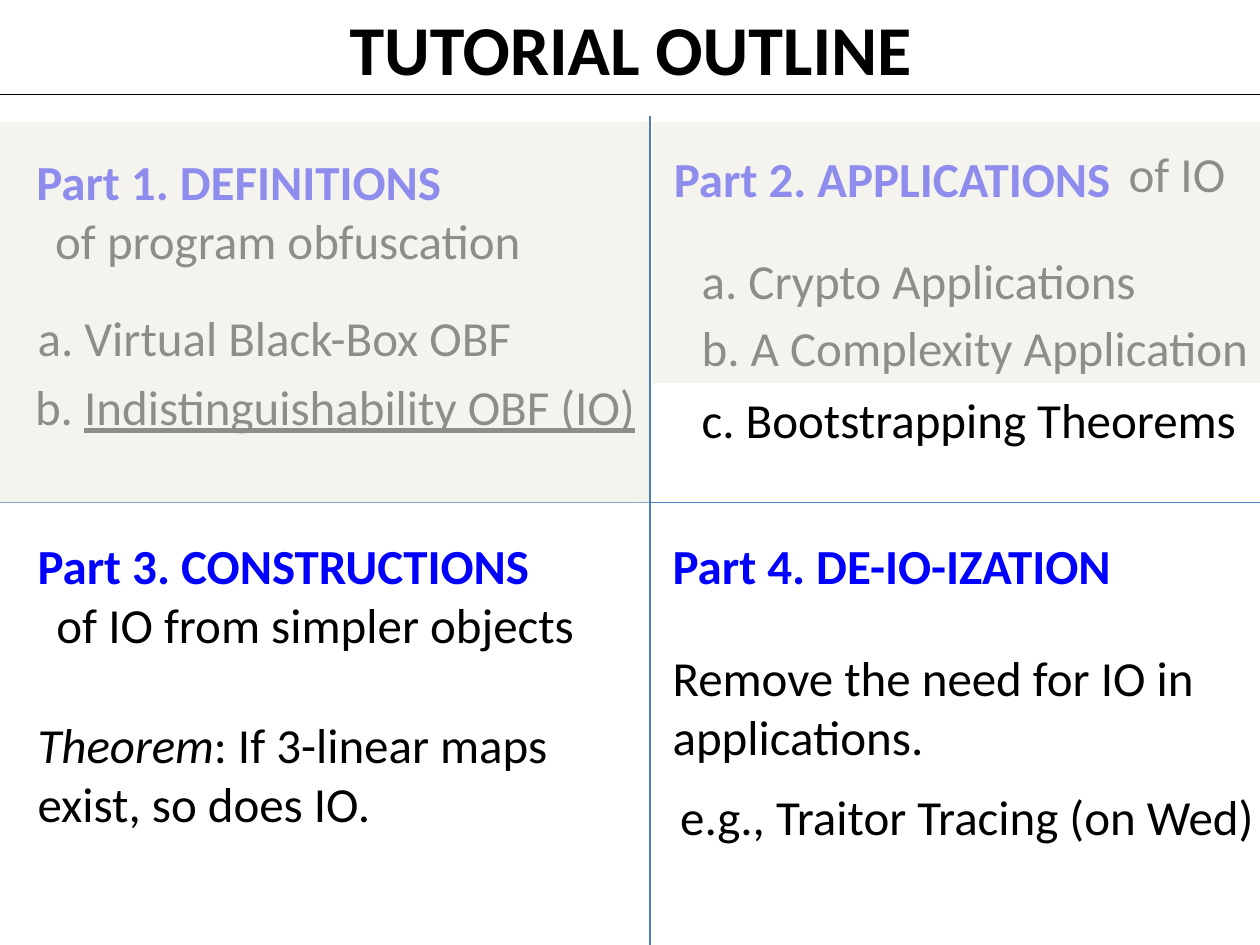
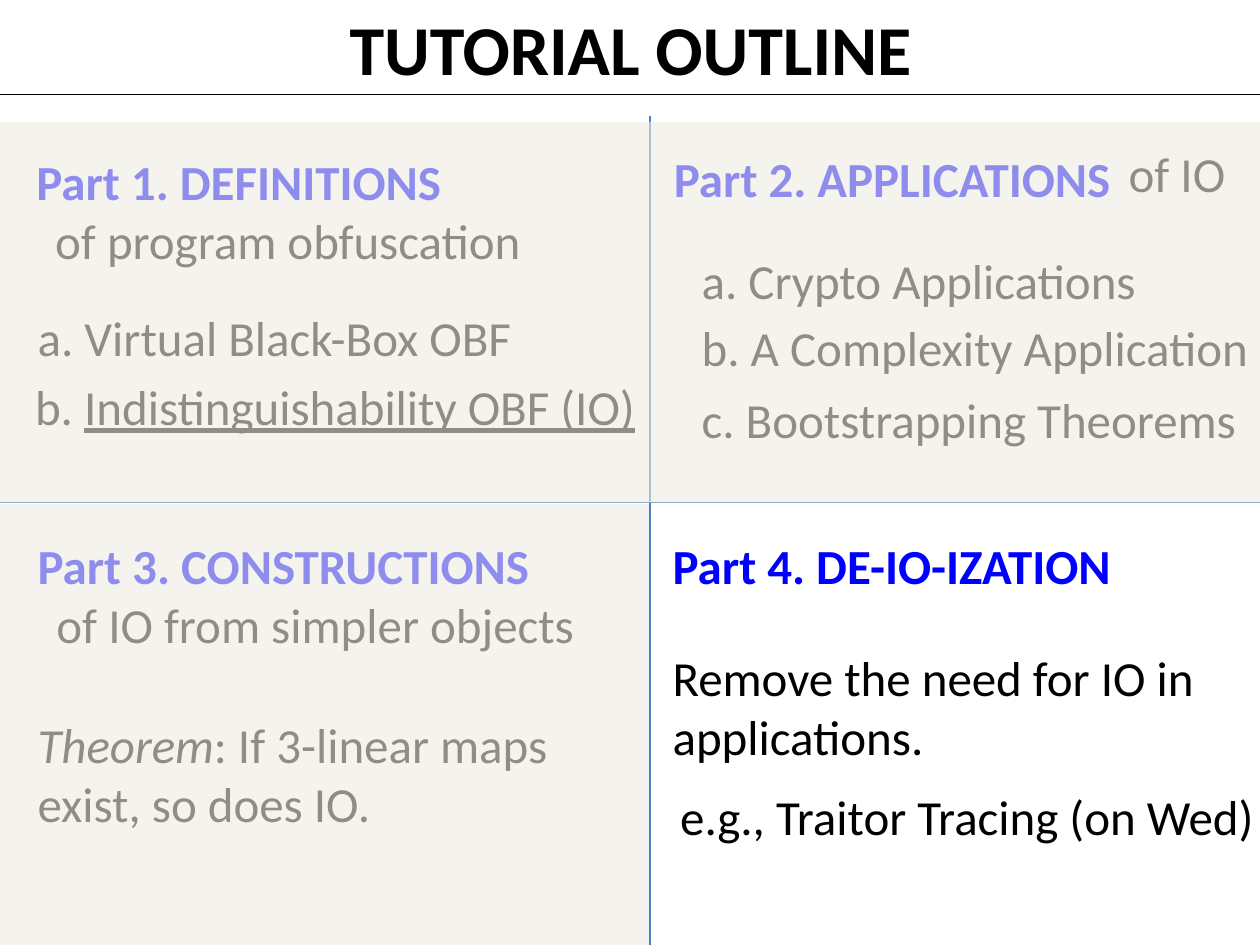
from dataclasses import dataclass

import pptx
import pptx.dml.color
import pptx.enum.shapes
import pptx.enum.text
import pptx.oxml
import pptx.oxml.ns
import pptx.util
from pptx.util import Inches

COLOURS = {
    "paper": "FFFFFF",
    "ink": "000000",
    "heading": "0000FF",
    "divider": "4B7EBC",
    "veil": "EEECE1",
}
FONT = "Calibri"
VEIL_OPACITY = 60
ONE_LINE, TWO_LINES = 0.57, 1.04


@dataclass(frozen=True)
class Phrase:
    text: str
    bold: bool = False
    italic: bool = False
    underline: bool = False
    colour: str = "ink"
    size: int = 28


@dataclass(frozen=True)
class Note:
    left: float
    top: float
    width: float
    phrases: tuple[Phrase, ...]
    height: float = ONE_LINE


@dataclass(frozen=True)
class Box:
    left: float
    top: float
    width: float
    height: float


def heading(left: float, top: float, width: float, text: str) -> Note:
    return Note(left, top, width, (Phrase(text, bold=True, colour="heading"),))


def line(left: float, top: float, width: float, text: str, height: float = ONE_LINE) -> Note:
    return Note(left, top, width, (Phrase(text),), height)


# Shared content: the four parts of the tutorial
TITLE = Phrase("TUTORIAL OUTLINE", bold=True, size=40)
TITLE_BAND = Box(-0.98, -0.03, 11.97, 0.78)
DIVIDERS = ((5.16, 0.92, 5.16, 7.92), (-0.43, 3.99, 11.61, 3.99))
OUTLINE = (
    heading(0.19, 1.15, 3.53, "Part 1. DEFINITIONS"),
    heading(5.25, 1.13, 4.39, "Part 2. APPLICATIONS"),
    heading(0.2, 4.2, 4.32, "Part 3. CONSTRUCTIONS"),
    line(0.35, 4.67, 4.43, "of IO from simpler objects"),
    Note(0.2, 5.62, 4.43, (
        Phrase("Theorem", italic=True),
        Phrase(": If 3-linear maps exist, so does IO."),
    ), TWO_LINES),
    line(0.2, 2.39, 5.45, "a. Virtual Black-Box OBF"),
    line(0.34, 1.62, 4.43, "of program obfuscation"),
    Note(0.18, 2.94, 5.07, (
        Phrase("b. "),
        Phrase("Indistinguishability OBF (IO)", underline=True),
    )),
    line(8.86, 1.09, 1.14, "of IO"),
    line(5.47, 1.94, 5.45, "a. Crypto Applications"),
    line(5.47, 2.47, 5.45, "b. A Complexity Application"),
    line(5.47, 3.04, 5.45, "c. Bootstrapping Theorems"),
    heading(5.24, 4.2, 4.32, "Part 4. DE-IO-IZATION"),
)
PART_4_DETAILS = (
    line(5.24, 5.09, 4.43, "Remove the need for IO in applications.", TWO_LINES),
    line(5.3, 6.19, 4.82, "e.g., Traitor Tracing (on Wed)"),
)

# Veils dim what has already been covered, one tuple per slide
VEILS_BY_SLIDE = (
    (Box(-0.17, 0.97, 5.32, 3.02), Box(5.18, 0.97, 5.32, 2.07)),
    (Box(-0.17, 0.97, 10.6, 3.02), Box(-0.68, 4, 5.83, 3.92)),
)


def rgb(name: str) -> pptx.dml.color.RGBColor:
    return pptx.dml.color.RGBColor.from_string(COLOURS[name])


def add_phrase(paragraph, phrase: Phrase) -> None:
    run = paragraph.add_run()
    run.text = phrase.text
    font = run.font
    font.name = FONT
    font.size = pptx.util.Pt(phrase.size)
    font.bold = phrase.bold
    font.italic = phrase.italic
    font.underline = phrase.underline
    font.color.rgb = rgb(phrase.colour)


def add_band(slide, box: Box, colour: str):
    band = slide.shapes.add_shape(
        pptx.enum.shapes.MSO_SHAPE.RECTANGLE,
        Inches(box.left), Inches(box.top), Inches(box.width), Inches(box.height))
    band.shadow.inherit = False
    band.fill.solid()
    band.fill.fore_color.rgb = rgb(colour)
    band.line.fill.background()
    return band


def add_title(slide) -> None:
    band = add_band(slide, TITLE_BAND, "paper")
    band.line.color.rgb = rgb("ink")
    band.line.width = pptx.util.Pt(0.75)
    frame = band.text_frame
    frame.vertical_anchor = pptx.enum.text.MSO_ANCHOR.TOP
    frame.margin_top = Inches(0.07)
    frame.margin_bottom = 0
    frame.paragraphs[0].alignment = pptx.enum.text.PP_ALIGN.CENTER
    add_phrase(frame.paragraphs[0], TITLE)


def add_divider(slide, ends: tuple[float, float, float, float]) -> None:
    divider = slide.shapes.add_connector(
        pptx.enum.shapes.MSO_CONNECTOR.STRAIGHT, *map(Inches, ends))
    divider.line.color.rgb = rgb("divider")
    divider.line.width = pptx.util.Pt(0.75)
    divider._element.spPr.append(pptx.oxml.parse_xml(
        f"<a:effectLst {pptx.oxml.ns.nsdecls('a')}/>"))


def add_note(slide, note: Note) -> None:
    frame = slide.shapes.add_textbox(
        Inches(note.left), Inches(note.top),
        Inches(note.width), Inches(note.height)).text_frame
    frame.word_wrap = True
    frame.auto_size = pptx.enum.text.MSO_AUTO_SIZE.SHAPE_TO_FIT_TEXT
    for phrase in note.phrases:
        add_phrase(frame.paragraphs[0], phrase)


def add_veil(slide, box: Box) -> None:
    veil = add_band(slide, box, "veil")
    colour = veil._element.spPr.find(".//" + pptx.oxml.ns.qn("a:srgbClr"))
    colour.append(pptx.oxml.parse_xml(
        f'<a:alpha {pptx.oxml.ns.nsdecls("a")} val="{VEIL_OPACITY * 1000}"/>'))


def add_outline_slide(deck, veils: tuple[Box, ...]) -> None:
    slide = deck.slides.add_slide(deck.slide_layouts[6])
    add_title(slide)
    for ends in DIVIDERS:
        add_divider(slide, ends)
    for note in OUTLINE:
        add_note(slide, note)
    for veil in veils:
        add_veil(slide, veil)
    for note in PART_4_DETAILS:
        add_note(slide, note)


def main() -> None:
    deck = pptx.Presentation()
    deck.slide_width = Inches(10)
    deck.slide_height = Inches(7.5)
    for veils in VEILS_BY_SLIDE:
        add_outline_slide(deck, veils)
    deck.save("out.pptx")


if __name__ == "__main__":
    main()
